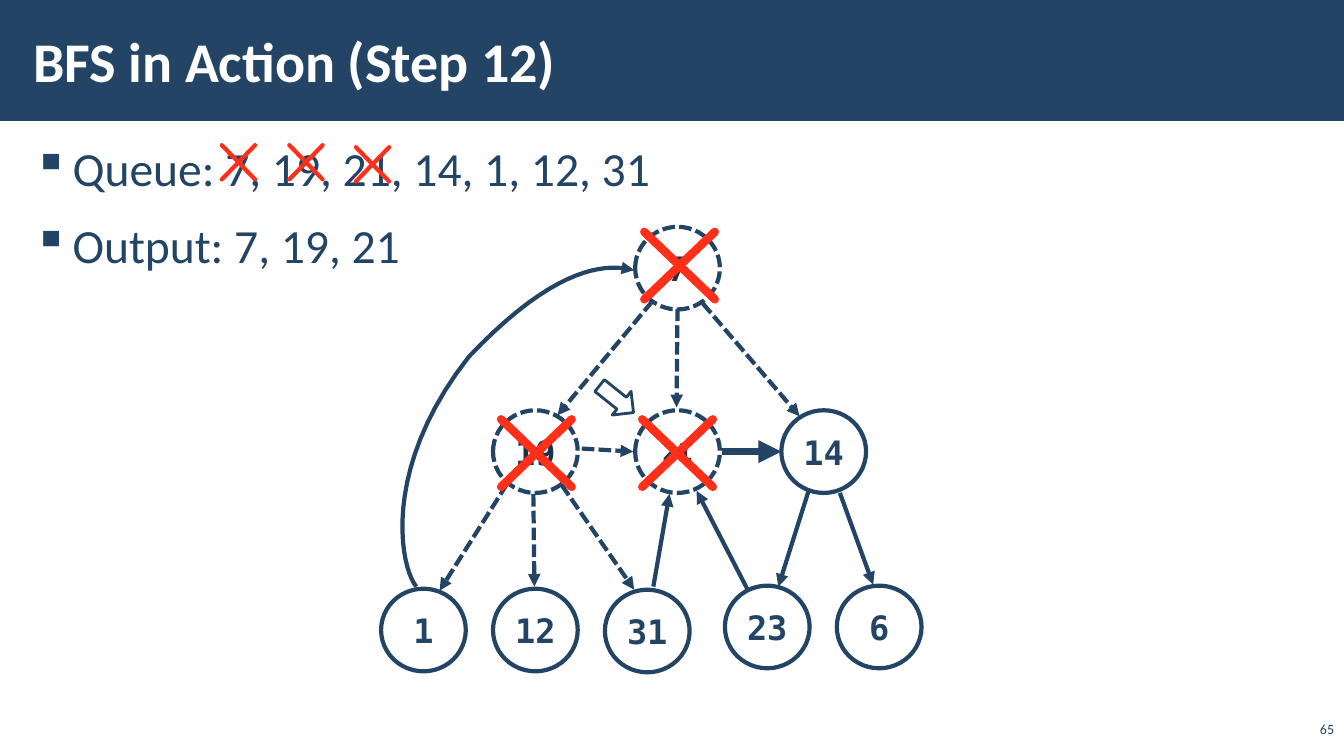
from lxml import etree
from pptx import Presentation
from pptx.dml.color import RGBColor
from pptx.enum import dml, shapes, text
from pptx.oxml import ns
from pptx.util import Inches, Pt

NAVY = RGBColor(0x23, 0x44, 0x65)
VISITED_INK = RGBColor(0x1A, 0x33, 0x4C)
RED = RGBColor(0xFF, 0x2F, 0x19)
WHITE = RGBColor(0xFF, 0xFF, 0xFF)
BODY_FONT = "Calibri"
NODE_FONT = "DejaVu Sans Mono"
NODE_WIDTH, NODE_HEIGHT = 0.84, 0.82

NODES = [
    ("1", 3.78, 5.84), ("12", 4.89, 5.84), ("31", 6, 5.85),
    ("23", 7.19, 5.81), ("6", 8.3, 5.81), ("14", 7.75, 4.07),
]
VISITED = [("7", 6.3, 2.25, 24), ("19", 4.89, 4.07, 24), ("21", 6.3, 4.07, 18)]
OPEN_EDGES = [
    ((8.02, 4.87), (7.72, 5.82)), ((8.33, 4.89), (8.66, 5.8)),
    ((6.48, 5.82), (6.64, 4.9)), ((7.41, 5.84), (6.91, 4.87)),
]
USED_EDGES = [
    ((6.47, 2.99), (5.53, 4.12)), ((6.97, 3.01), (7.93, 4.13)),
    ((6.72, 3.06), (6.71, 4.04)), ((5.03, 4.8), (4.36, 5.86)),
    ((5.57, 4.81), (6.29, 5.85)), ((5.29, 4.9), (5.3, 5.82)),
    ((5.77, 4.45), (6.28, 4.48)),
]
BACK_EDGE = [
    ((4.13, 5.82), (3.98, 5.65), (3.76, 4.67), (4.65, 3.54)),
    ((4.65, 3.54), (5.54, 2.6), (6.04, 2.62), (6.29, 2.68)),
]
QUEUE_CROSSES = [(2.2, 1.44), (2.87, 1.44), (3.53, 1.46)]
NODE_CROSSES = [(6.39, 2.3), (4.97, 4.16), (6.37, 4.16)]


def add_child(parent, tag, **attributes):
    """Append a DrawingML element to its parent."""
    child = etree.SubElement(parent, ns.qn(tag))
    for name, value in attributes.items():
        child.set(name, value)
    return child


def style_line(item, color, width, dashed=False, arrow=False, rounded=False):
    """Set the stroke of a shape or connector."""
    item.line.color.rgb = color
    item.line.width = Pt(width)
    if dashed:
        item.line.dash_style = dml.MSO_LINE.SQUARE_DOT
    stroke = item._element.spPr.get_or_add_ln()
    if rounded:
        stroke.set("cap", "rnd")
        add_child(stroke, "a:round")
    if arrow:
        add_child(stroke, "a:tailEnd", type="triangle")


def add_line(slide, start, end, color=NAVY, width=3, **stroke):
    """Draw a straight line between two points."""
    line = slide.shapes.add_connector(
        shapes.MSO_CONNECTOR.STRAIGHT, *map(Inches, (*start, *end)))
    style_line(line, color, width, **stroke)
    add_child(line._element.spPr, "a:effectLst")


def add_cross(slide, left, top, width, height, weight):
    """Strike out an item with two red diagonals."""
    right, bottom = left + width, top + height
    add_line(slide, (left, top), (right, bottom), RED, weight, rounded=True)
    add_line(slide, (right, top), (left, bottom), RED, weight, rounded=True)


def add_form(slide, kind, box, fill, opacity=None):
    """Add a filled preset shape without a shadow."""
    form = slide.shapes.add_shape(kind, *map(Inches, box))
    form.shadow.inherit = False
    form.fill.solid()
    form.fill.fore_color.rgb = fill
    if opacity:
        tint = form._element.spPr.find(".//" + ns.qn("a:srgbClr"))
        add_child(tint, "a:alpha", val=str(opacity * 1000))
    return form


def write(frame, lines, size, color=NAVY, font=BODY_FONT, bold=False,
          align=text.PP_ALIGN.LEFT, anchor=text.MSO_ANCHOR.TOP,
          insets=(0.1, 0.05), wrap=True, bullet=None):
    """Fill a text frame with formatted paragraphs."""
    frame.word_wrap = wrap
    frame.vertical_anchor = anchor
    frame.margin_left = frame.margin_right = Inches(insets[0])
    frame.margin_top = frame.margin_bottom = Inches(insets[1])
    for index, line in enumerate(lines):
        paragraph = frame.add_paragraph() if index else frame.paragraphs[0]
        paragraph.alignment = align
        if bullet:
            paragraph.line_spacing = 1.05
            paragraph.space_after = Pt(6)
            if index:
                paragraph.space_before = Pt(6)
            properties = paragraph._p.get_or_add_pPr()
            properties.set("marL", str(Inches(0.39)))
            properties.set("indent", str(-Inches(0.39)))
            add_child(properties, "a:buChar", char=bullet)
        run = paragraph.add_run()
        run.text = line
        run.font.size = Pt(size)
        run.font.name = font
        run.font.bold = bold
        run.font.color.rgb = color


def add_text(slide, box, lines, size, **style):
    """Add a text box."""
    area = slide.shapes.add_textbox(*map(Inches, box))
    write(area.text_frame, lines, size, **style)


def add_node(slide, label, left, top, size=24, visited=False):
    """Draw a graph node, dashed once visited."""
    node = add_form(slide, shapes.MSO_SHAPE.OVAL,
                    (left, top, NODE_WIDTH, NODE_HEIGHT), WHITE,
                    70 if visited else 50)
    style_line(node, NAVY, 3, dashed=visited)
    write(node.text_frame, [label], size,
          color=VISITED_INK if visited else NAVY, font=NODE_FONT, bold=True,
          align=text.PP_ALIGN.CENTER, anchor=text.MSO_ANCHOR.MIDDLE, wrap=False)


def curve_point(controls, t):
    """Return the point of a cubic curve at parameter t."""
    weights = ((1 - t) ** 3, 3 * t * (1 - t) ** 2, 3 * t ** 2 * (1 - t), t ** 3)
    return tuple(Inches(sum(w * c for w, c in zip(weights, axis)))
                 for axis in zip(*controls))


def add_curve(slide, segments, steps=20):
    """Draw a curved arrow through cubic segments."""
    points = [curve_point(controls, step / steps)
              for controls in segments for step in range(1, steps + 1)]
    builder = slide.shapes.build_freeform(*curve_point(segments[0], 0))
    builder.add_line_segments(points, close=False)
    curve = builder.convert_to_shape()
    curve.shadow.inherit = False
    curve.fill.background()
    style_line(curve, NAVY, 3, arrow=True)


def add_graph(slide):
    """Draw the edges, nodes, strikes and the current-node pointer."""
    add_line(slide, (7.16, 4.48), (7.75, 4.48), width=5.5, arrow=True)
    for start, end in OPEN_EDGES:
        add_line(slide, start, end, arrow=True)
    for start, end in USED_EDGES:
        add_line(slide, start, end, dashed=True, arrow=True)
    add_curve(slide, BACK_EDGE)
    for node in NODES:
        add_node(slide, *node)
    for node in VISITED:
        add_node(slide, *node, visited=True)
    for left, top in NODE_CROSSES:
        add_cross(slide, left, top, 0.7, 0.67, 6)
    pointer = add_form(slide, shapes.MSO_SHAPE.RIGHT_ARROW,
                       (5.9, 3.81, 0.43, 0.3), WHITE, 50)
    pointer.rotation = 38.5
    style_line(pointer, NAVY, 2)


def main():
    """Build the slide."""
    deck = Presentation()
    deck.slide_width, deck.slide_height = Inches(13.33), Inches(7.5)
    slide = deck.slides.add_slide(deck.slide_layouts[6])
    banner = add_form(slide, shapes.MSO_SHAPE.RECTANGLE, (0, 0, 13.33, 1.2), NAVY)
    banner.line.fill.background()
    add_text(slide, (0.21, 0.11, 10.63, 0.97), ["BFS in Action (Step 12)"], 40,
             color=WHITE, bold=True, anchor=text.MSO_ANCHOR.MIDDLE,
             insets=(0.12, 0.04))
    add_text(slide, (0.21, 1.31, 12.92, 6.05),
             ["Queue: 7, 19, 21, 14, 1, 12, 31", "Output: 7, 19, 21"], 34,
             insets=(0.12, 0.04), bullet="▪")
    add_text(slide, (12.86, 7.14, 0.47, 0.22), ["65"], 10,
             align=text.PP_ALIGN.RIGHT, anchor=text.MSO_ANCHOR.BOTTOM)
    for left, top in QUEUE_CROSSES:
        add_cross(slide, left, top, 0.33, 0.34, 3)
    add_graph(slide)
    deck.save("out.pptx")


if __name__ == "__main__":
    main()
